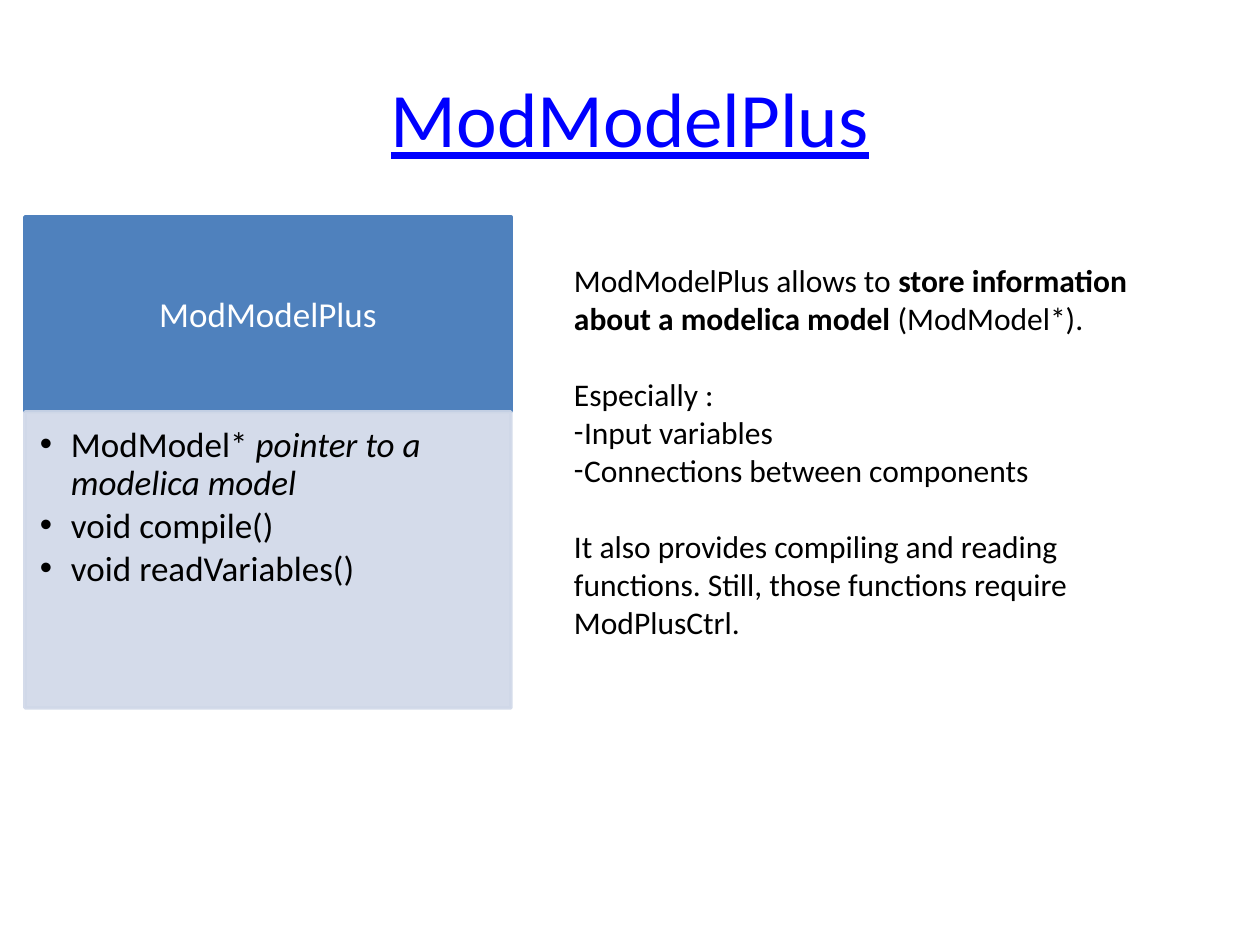
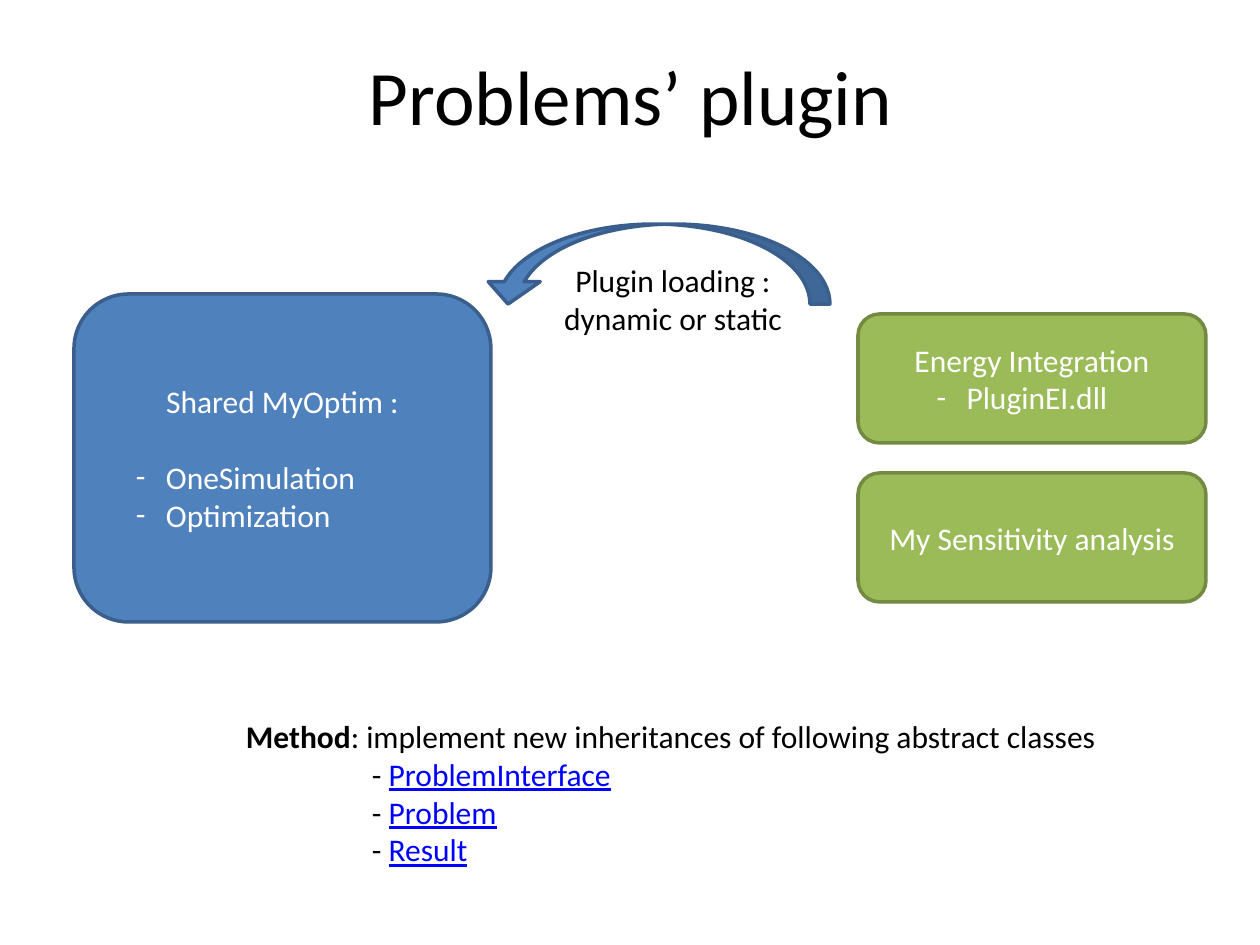
from lxml.etree import SubElement
from pptx import Presentation
from pptx.dml.color import RGBColor
from pptx.enum.shapes import MSO_SHAPE as Shape
from pptx.enum.text import MSO_ANCHOR as Anchor, PP_ALIGN as Align
from pptx.oxml.ns import qn
from pptx.util import Emu, Pt

PX_PER_INCH = 126
BLUE, DARK_BLUE, PALE_BLUE = "4F81BD", "3A5F8C", "D0D8E8"
GREEN, DARK_GREEN = "9BBB59", "738A42"
BLACK, WHITE, LINK = "000000", "FFFFFF", "0000FF"
BODY_LINE = 22


def px(length):
    return Emu(round(length * 914400 / PX_PER_INCH))


def rgb(color):
    return RGBColor.from_string(color)


class Deck:
    font = "Calibri"
    title_size = 44
    body_size = 18
    panel_size = 20
    padding = (13, 6, 13, 6)

    def __init__(self):
        self.prs = Presentation()
        self.prs.slide_width = px(10 * PX_PER_INCH)
        self.prs.slide_height = px(7.5 * PX_PER_INCH)
        self.slide = None

    def add_slide(self, heading, left, top, color=BLACK):
        self.slide = self.prs.slides.add_slide(self.prs.slide_layouts[5])
        title = self.slide.shapes.title
        title.left, title.top = px(left), px(top)
        title.width, title.height = px(1134), px(158)
        return self.fill_text(title, [[heading]], color, self.title_size,
                              Align.CENTER, Anchor.MIDDLE)[0]

    def fill_text(self, holder, lines, color, size=body_size, align=Align.LEFT,
                  anchor=Anchor.TOP, padding=padding, wrap=True):
        frame = holder.text_frame
        frame.word_wrap = wrap
        frame.vertical_anchor = anchor
        (frame.margin_left, frame.margin_top,
         frame.margin_right, frame.margin_bottom) = map(px, padding)
        frame.text = "\n".join(pieces[0] for pieces in lines)
        for paragraph, pieces in zip(frame.paragraphs, lines):
            paragraph.alignment = align
            for piece in pieces[1:]:
                paragraph.add_run().text = piece
            for run in paragraph.runs:
                run.font.name = self.font
                run.font.size = Pt(size)
                run.font.color.rgb = rgb(color)
        return frame.paragraphs

    def block(self, kind, at, fill, outline, alpha=None):
        block = self.slide.shapes.add_shape(kind, *map(px, at))
        block.shadow.inherit = False
        block.fill.solid()
        block.fill.fore_color.rgb = rgb(fill)
        block.line.color.rgb = rgb(outline)
        block.line.width = Pt(2)
        if alpha:
            for tint in block._element.spPr.iter(qn("a:srgbClr")):
                SubElement(tint, qn("a:alpha")).set("val", str(alpha * 1000))
        return block

    def note(self, at, lines, align=Align.LEFT, wrap=True):
        box = self.slide.shapes.add_textbox(*map(px, at))
        return self.fill_text(box, lines, BLACK, align=align, wrap=wrap)

    def indent(self, paragraph, left, hanging=0, bullet=None, right=0):
        props = paragraph._p.get_or_add_pPr()
        props.set("marL", str(px(left)))
        props.set("marR", str(px(right)))
        props.set("indent", str(-px(hanging)))
        if bullet:
            bullet_font = "Arial" if bullet == "•" else self.font
            SubElement(props, qn("a:buFont")).set("typeface", bullet_font)
            SubElement(props, qn("a:buChar")).set("char", bullet)

    def mark_link(self, run):
        run.font.color.rgb = rgb(LINK)
        run.font.underline = True


def build_model_slide(deck):
    heading = deck.add_slide("ModModelPlus", 63, 38, LINK)
    deck.mark_link(heading.runs[0])

    left, width, top, header_height = 25, 486, 217, 194
    class_name = deck.block(Shape.RECTANGLE, (left, top, width, header_height), BLUE, BLUE)
    deck.fill_text(class_name, [["ModModelPlus"]], WHITE, deck.panel_size,
                   Align.CENTER, Anchor.MIDDLE)

    members = deck.block(Shape.RECTANGLE, (left, top + header_height + 1, width, 296),
                         PALE_BLUE, PALE_BLUE, alpha=90)
    entries = deck.fill_text(members, [["ModModel* ", "pointer to a modelica model"],
                                       ["void compile()"], ["void readVariables()"]],
                             BLACK, deck.panel_size, padding=(15, 15, 20, 21))
    for entry in entries:
        entry.line_spacing = 0.9
        entry.space_after = Pt(3)
        deck.indent(entry, 31, 31, "•")
    entries[0].runs[1].font.italic = True

    summary, especially, inputs, connections, functions = deck.note(
        (561, 255, 625, 394),
        [["ModModelPlus allows to ", "store information about a modelica model ", "(ModModel*)."],
         ["Especially :"], ["Input variables"], ["Connections between components"],
         ["It also provides compiling and reading functions. "
          "Still, those functions require ModPlusCtrl."]])
    summary.runs[1].font.bold = True
    for opening in (especially, functions):
        opening.space_before = Pt(BODY_LINE)
    for stored in (inputs, connections):
        deck.indent(stored, 10, 10, "-")


def build_plugin_slide(deck):
    deck.add_slide("Problems’ plugin", 64, 16)

    shared = deck.block(Shape.ROUNDED_RECTANGLE, (74, 294, 417, 328), BLUE, DARK_BLUE)
    shared_name, *problems = deck.fill_text(
        shared, [["Shared MyOptim :"], ["OneSimulation"], ["Optimization"]],
        WHITE, anchor=Anchor.MIDDLE)
    shared_name.alignment = Align.CENTER
    problems[0].space_before = Pt(BODY_LINE)
    for problem in problems:
        deck.indent(problem, 63, 30, "-")

    plugins = ([["Energy Integration"], ["PluginEI.dll"]], [["My Sensitivity analysis"]])
    for row, lines in enumerate(plugins):
        plugin = deck.block(Shape.ROUNDED_RECTANGLE, (858, 314 + 159 * row, 348, 129),
                            GREEN, DARK_GREEN)
        _, *libraries = deck.fill_text(plugin, lines, WHITE, align=Align.CENTER,
                                       anchor=Anchor.MIDDLE)
        for library in libraries:
            deck.indent(library, 30, 30, "-", right=20)

    loading = deck.block(Shape.CURVED_DOWN_ARROW, (482, 224, 348, 80), BLUE, DARK_BLUE)
    loading._element.spPr.find(qn("a:xfrm")).set("flipH", "1")
    for index, ratio in enumerate((0.25, 0.65, 0.28)):
        loading.adjustments[index] = ratio
    deck.note((550, 255, 246, 89), [["Plugin loading :"], ["dynamic or static"]],
              Align.CENTER, wrap=False)

    method, *classes = deck.note(
        (233, 711, 885, 165),
        [["Method", ": implement new inheritances of following abstract classes"],
         *(["- ", name] for name in ("ProblemInterface", "Problem", "Result"))],
        wrap=False)
    method.runs[0].font.bold = True
    for abstract_class in classes:
        deck.indent(abstract_class, PX_PER_INCH)
        deck.mark_link(abstract_class.runs[1])


def main():
    deck = Deck()
    build_model_slide(deck)
    build_plugin_slide(deck)
    deck.prs.save("out.pptx")


if __name__ == "__main__":
    main()
